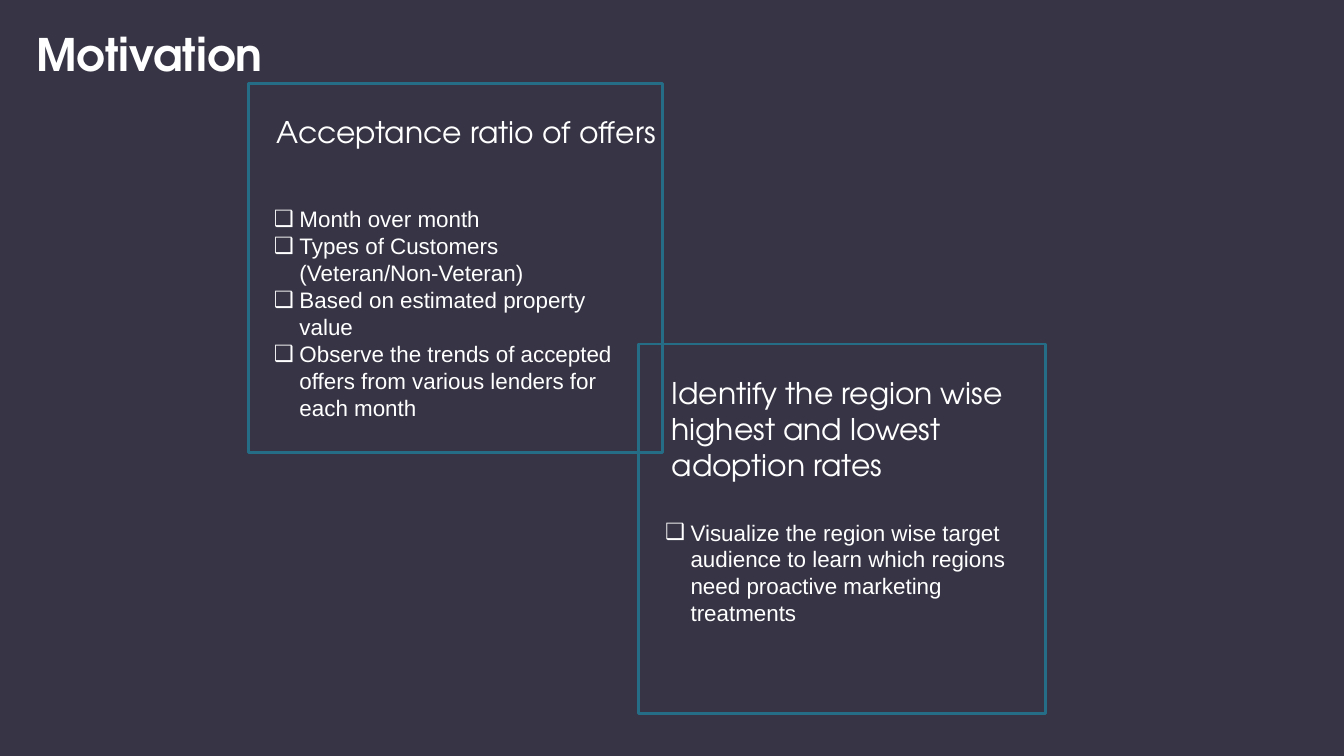
"""Build the Motivation slide: two overlapping outlined cards with checklists."""
from lxml import etree
from pptx import Presentation, util as u
from pptx.dml.color import RGBColor
from pptx.enum import shapes, text
from pptx.oxml.ns import qn

WIDE = 10
HIGH = WIDE * 9 / 16
BACK, EDGE, INK = "373545", "256C87", "FFFFFF"
HEAD, BODY = "TeX Gyre Adventor", "Arial"
INDENT = 0.19

TITLE = "Motivation"
CARDS = [
    {"card": (1.85, 0.62, 3.08, 2.75),
     "head": ("Acceptance ratio of offers", (1.96, 0.8, 3.05, 0.64)),
     "list": (["Month over month",
               "Types of Customers (Veteran/Non-Veteran)",
               "Based on estimated property value",
               "Observe the trends of accepted offers from various lenders for each month"],
              (1.94, 1.48, 2.94, 1.51))},
    {"card": (4.75, 2.56, 3.03, 2.75),
     "head": ("Identify the region wise highest and lowest adoption rates",
              (4.9, 2.74, 2.83, 0.91)),
     "list": (["Visualize the region wise target audience to learn which regions "
               "need proactive marketing treatments"],
              (4.85, 3.81, 2.83, 0.91))},
]


def color(code):
    return RGBColor.from_string(code)


def inches(box):
    return [u.Inches(n) for n in box]


def style(para, face, size, bold=False):
    para.alignment = text.PP_ALIGN.LEFT
    font = para.font
    font.name, font.size, font.bold = face, u.Pt(size), bold
    font.color.rgb = color(INK)


def bullet(para):
    props = para._p.get_or_add_pPr()
    props.set("marL", str(u.Inches(INDENT)))
    props.set("indent", str(-u.Inches(INDENT)))
    tint = etree.Element(qn("a:buClr"))
    etree.SubElement(tint, qn("a:srgbClr"), val=INK)
    face = etree.Element(qn("a:buFont"), typeface=BODY)
    mark = etree.Element(qn("a:buChar"), char="❑")
    for spot, part in enumerate((tint, face, mark)):
        props.insert(spot, part)


def frame(slide, box):
    card = slide.shapes.add_shape(shapes.MSO_SHAPE.RECTANGLE, *inches(box))
    card.shadow.inherit = False
    card.fill.background()
    card.line.color.rgb = color(EDGE)
    card.line.width = u.Pt(1.5)


def write(slide, lines, box, face, size, marked=False):
    body = slide.shapes.add_textbox(*inches(box)).text_frame
    body.word_wrap = True
    body.text = "\n".join(lines)
    for para in body.paragraphs:
        style(para, face, size)
        if marked:
            bullet(para)


def main():
    deck = Presentation()
    deck.slide_width, deck.slide_height = inches((WIDE, HIGH))
    slide = deck.slides.add_slide(deck.slide_layouts[5])
    slide.background.fill.solid()
    slide.background.fill.fore_color.rgb = color(BACK)

    title = slide.shapes.title
    title.left, title.top, title.width, title.height = inches((0.17, 0.15, 9.75, 0.5))
    title.text_frame.text = TITLE
    title.text_frame.vertical_anchor = text.MSO_ANCHOR.MIDDLE
    style(title.text_frame.paragraphs[0], HEAD, 24, True)

    for card in CARDS:
        frame(slide, card["card"])
    for card in CARDS:
        head, box = card["head"]
        write(slide, [head], box, HEAD, 16)
        items, box = card["list"]
        write(slide, items, box, BODY, 12, True)
    deck.save("out.pptx")


if __name__ == "__main__":
    main()
